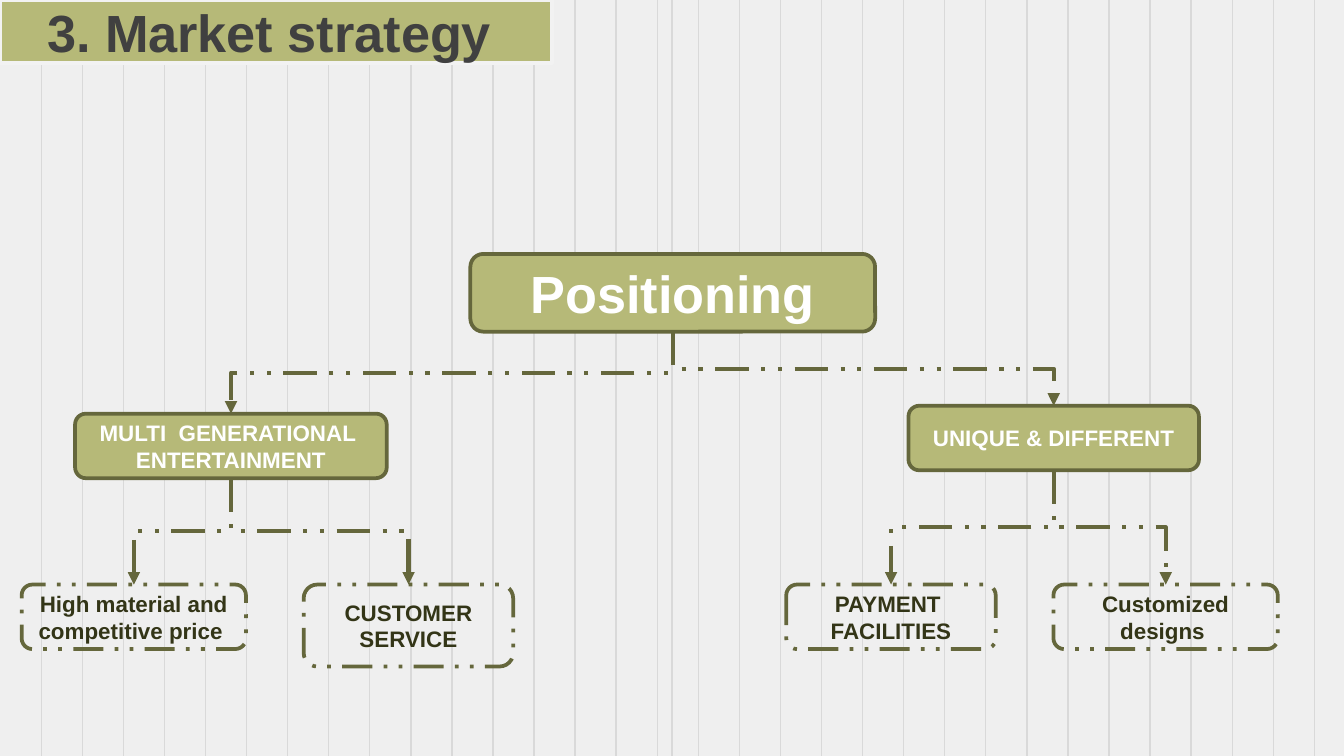
from lxml import etree
from pptx import Presentation
from pptx.dml.color import RGBColor
from pptx.enum import dml, shapes, text
from pptx.oxml import ns
from pptx.util import Cm, Pt

OLIVE = RGBColor(0xB6, 0xB9, 0x78)
MOSS = RGBColor(0x65, 0x67, 0x3C)
DARK = RGBColor(0x33, 0x35, 0x17)
GRAY = RGBColor(0x40, 0x40, 0x40)
RULE = RGBColor(0xD9, 0xD9, 0xD9)
PALE = RGBColor(0xF2, 0xF2, 0xF2)
PAPER = RGBColor(0xEF, 0xEF, 0xEF)
WHITE = RGBColor(0xFF, 0xFF, 0xFF)
DASH = dml.MSO_LINE.DASH_DOT_DOT

# Content: name, parent, style, place in cm, paragraphs
TITLE = "3. Market strategy "
NODES = [
    ("root", None, "root", (8.89, 4.8, 7.65, 1.47), ["Positioning"]),
    ("unique", "root", "branch", (17.17, 7.67, 5.49, 1.22), ["UNIQUE & DIFFERENT"]),
    ("multi", "root", "branch", (1.42, 7.82, 5.89, 1.22),
     ["MULTI  GENERATIONAL ", "ENTERTAINMENT"]),
    ("price", "multi", "leaf", (0.41, 11.05, 4.24, 1.22),
     ["High material and competitive price "]),
    ("service", "multi", "leaf", (5.74, 11.05, 3.96, 1.55), ["CUSTOMER SERVICE"]),
    ("payment", "unique", "leaf", (14.86, 11.05, 3.96, 1.22),
     ["PAYMENT ", "FACILITIES"]),
    ("design", "unique", "leaf", (19.91, 11.05, 4.24, 1.22), ["Customized designs "]),
]
# Style: fill, line, dash, font colour, font size
STYLES = {
    "title": (OLIVE, PALE, None, GRAY, 28),
    "root": (OLIVE, MOSS, None, WHITE, 28),
    "branch": (OLIVE, MOSS, None, WHITE, 12),
    "leaf": (None, MOSS, DASH, DARK, 12),
}
WIDE, HIGH = 25.4, 14.29
FIRST, LAST, COUNT = 0.78, 24.84, 32


def put(item, values):
    for key, value in values.items():
        setattr(item, key, value)


def draw(line, color, width, dash=None):
    line.color.rgb = color
    put(line, {"width": Pt(width), "dash_style": dash})


def dress(shape, style, lines):
    fill, edge, dash, color, size = STYLES[style]
    shape.shadow.inherit = False
    if fill is None:
        shape.fill.background()
    else:
        shape.fill.solid()
        shape.fill.fore_color.rgb = fill
    draw(shape.line, edge, 2, dash)
    frame = shape.text_frame
    frame.text = "\n".join(lines)
    put(frame, {"word_wrap": True, "auto_size": text.MSO_AUTO_SIZE.NONE,
                "vertical_anchor": text.MSO_ANCHOR.MIDDLE})
    for par in frame.paragraphs:
        put(par, {"alignment": text.PP_ALIGN.CENTER, "line_spacing": 1.0})
        for run in par.runs:
            put(run.font, {"name": "Arial", "size": Pt(size), "bold": True})
            run.font.color.rgb = color


def link(kind, ends=(0, 0, 0, 0)):
    line = slide.shapes.add_connector(kind, *ends)
    etree.SubElement(line._element.spPr, ns.qn("a:effectLst"))
    return line


def join(top, low):
    """Elbow arrow from the bottom of one box to the top of another."""
    x1, y1 = top.left + top.width // 2, top.top + top.height
    x2, y2 = low.left + low.width // 2, low.top
    line = link(shapes.MSO_CONNECTOR.ELBOW)
    line.begin_connect(top, 2)
    line.end_connect(low, 0)
    # The elbow runs sideways, so it is turned a quarter round its centre
    long, span = y2 - y1, abs(x2 - x1)
    form = line._element.spPr.find(ns.qn("a:xfrm"))
    for key in ("flipH", "flipV"):
        form.attrib.pop(key, None)
    put(line, {"left": (x1 + x2 - long) // 2, "top": (y1 + y2 - span) // 2,
               "width": long, "height": span})
    form.set("rot", "16200000" if x2 > x1 else "5400000")
    if x2 > x1:
        form.set("flipH", "1")
    draw(line.line, MOSS, 2.25, DASH)
    etree.SubElement(line.line._get_or_add_ln(), ns.qn("a:tailEnd"), type="triangle")


deck = Presentation()
put(deck, {"slide_width": Cm(WIDE), "slide_height": Cm(HIGH)})
slide = deck.slides.add_slide(deck.slide_layouts[5])
slide.background.fill.solid()
slide.background.fill.fore_color.rgb = PAPER

# Background rules, evenly spaced, and one in the middle
step = (LAST - FIRST) / (COUNT - 1)
for x in [FIRST + i * step for i in range(COUNT)] + [WIDE / 2]:
    rule = link(shapes.MSO_CONNECTOR.STRAIGHT, (Cm(x), 0, Cm(x), Cm(HIGH)))
    draw(rule.line, RULE, 0.75)

# Title pill, in front of the rules
title = slide.shapes.title
put(title, {"left": 0, "top": 0, "width": Cm(10.44), "height": Cm(1.19)})
geom = etree.Element(ns.qn("a:prstGeom"), prst="roundRect")
guides = etree.SubElement(geom, ns.qn("a:avLst"))
etree.SubElement(guides, ns.qn("a:gd"), name="adj", fmla="val 50000")
title._element.spPr.insert(1, geom)
dress(title, "title", [TITLE])
slide.shapes._spTree.append(title._element)

# Tree of boxes, then the arrows between them
boxes = {}
for name, parent, style, place, lines in NODES:
    boxes[name] = slide.shapes.add_shape(
        shapes.MSO_SHAPE.ROUNDED_RECTANGLE, *map(Cm, place))
    dress(boxes[name], style, lines)
for name, parent, *rest in NODES:
    if parent:
        join(boxes[parent], boxes[name])

deck.save("out.pptx")
